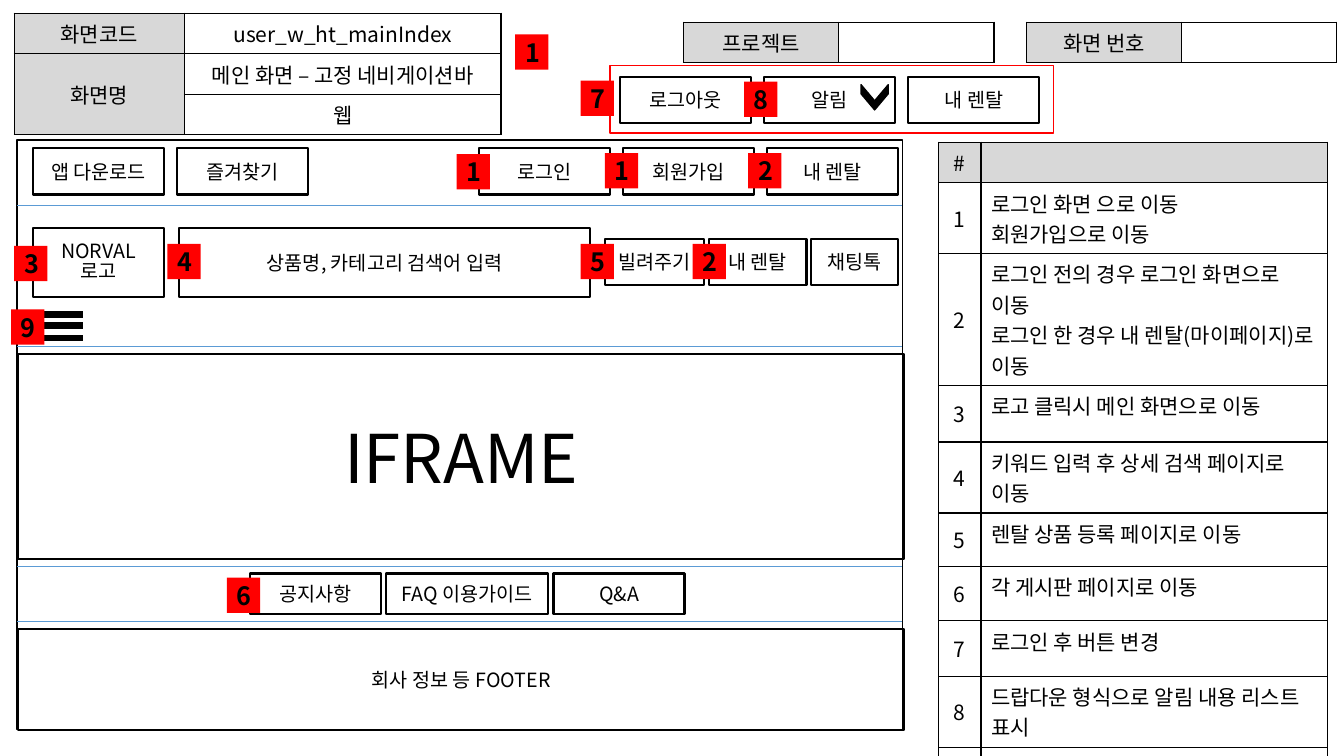
from dataclasses import dataclass

import lxml.etree
import pptx
import pptx.dml.color
import pptx.enum.shapes
import pptx.enum.text
import pptx.oxml.ns
import pptx.util

PX = 9144  # EMU per px, 100 px to the inch
FONT = "Noto Sans CJK KR"
COLORS = {
    "ink": "000000",
    "paper": "FFFFFF",
    "header": "D8D8D8",
    "badge": "FF0000",
    "divider": "5B9BD5",
}
SHAPES = pptx.enum.shapes.MSO_SHAPE
CENTER = pptx.enum.text.PP_ALIGN.CENTER
LEFT = pptx.enum.text.PP_ALIGN.LEFT
MIDDLE = pptx.enum.text.MSO_ANCHOR.MIDDLE
TOP = pptx.enum.text.MSO_ANCHOR.TOP


@dataclass
class Box:
    x: int
    y: int
    w: int
    h: int
    text: str = ""
    size: int = 14
    line: str = "ink"
    weight: float = 1.5
    spacing: float = 1.0


@dataclass
class Badge:
    x: int
    y: int
    number: str


@dataclass
class Rule:
    x1: int
    x2: int
    y: int
    color: str
    weight: float


@dataclass
class Grid:
    x: int
    y: int
    columns: list[int]
    rows: list[int]
    cells: list[list[str]]
    header_row: bool = False
    header_column: bool = False
    left_column: int = -1


def px(value: int) -> pptx.util.Emu:
    return pptx.util.Emu(value * PX)


def rgb(name: str) -> pptx.dml.color.RGBColor:
    return pptx.dml.color.RGBColor.from_string(COLORS[name])


def add_xml(parent, tag: str, **attributes: str):
    return lxml.etree.SubElement(parent, pptx.oxml.ns.qn(tag), attributes)


def format_text(frame, size: int, align=CENTER, bold: bool = False, spacing: float = 1.0) -> None:
    for paragraph in frame.paragraphs:
        paragraph.alignment = align
        if spacing != 1.0:
            paragraph.line_spacing = spacing
        if not paragraph.runs:
            add_xml(paragraph._p, "a:endParaRPr", sz=str(size * 100))
        for run in paragraph.runs:
            run.font.size = pptx.util.Pt(size)
            run.font.name = FONT
            run.font.bold = bold
            run.font.color.rgb = rgb("ink")
            add_xml(run.font._element, "a:ea", typeface=FONT)


def draw_box(slide, box: Box) -> None:
    frame = slide.shapes.add_shape(SHAPES.RECTANGLE, px(box.x), px(box.y), px(box.w), px(box.h))
    frame.shadow.inherit = False
    frame.fill.background()
    frame.line.color.rgb = rgb(box.line)
    frame.line.width = pptx.util.Pt(box.weight)
    if box.text:
        label = frame.text_frame
        label.margin_left = label.margin_right = label.margin_top = label.margin_bottom = 0
        label.vertical_anchor = MIDDLE
        label.text = box.text
        format_text(label, box.size, spacing=box.spacing)


def draw_badge(slide, badge: Badge) -> None:
    marker = slide.shapes.add_shape(SHAPES.RECTANGLE, px(badge.x), px(badge.y), px(33), px(35))
    marker.shadow.inherit = False
    marker.fill.solid()
    marker.fill.fore_color.rgb = rgb("badge")
    marker.line.fill.background()
    marker.text_frame.vertical_anchor = MIDDLE
    marker.text_frame.text = badge.number
    format_text(marker.text_frame, 18, bold=True)


def draw_rule(slide, rule: Rule) -> None:
    stroke = slide.shapes.add_connector(
        pptx.enum.shapes.MSO_CONNECTOR.STRAIGHT, px(rule.x1), px(rule.y), px(rule.x2), px(rule.y))
    stroke.line.color.rgb = rgb(rule.color)
    stroke.line.width = pptx.util.Pt(rule.weight)
    add_xml(stroke._element.spPr, "a:effectLst")


def draw_borders(cell) -> None:
    properties = cell._tc.get_or_add_tcPr()
    for position, side in enumerate(("a:lnL", "a:lnR", "a:lnT", "a:lnB")):
        border = add_xml(properties, side, w="12700")
        add_xml(add_xml(border, "a:solidFill"), "a:srgbClr", val=COLORS["ink"])
        properties.insert(position, border)


def draw_grid(slide, grid: Grid):
    table = slide.shapes.add_table(
        len(grid.rows), len(grid.columns), px(grid.x), px(grid.y),
        px(sum(grid.columns)), px(sum(grid.rows))).table
    table.first_row = table.horz_banding = False
    for column, width in zip(table.columns, grid.columns):
        column.width = px(width)
    for r, (height, texts) in enumerate(zip(grid.rows, grid.cells)):
        table.rows[r].height = px(height)
        for c, text in enumerate(texts):
            cell = table.cell(r, c)
            is_header = (grid.header_row and r == 0) or (grid.header_column and c == 0)
            is_left = c == grid.left_column
            cell.text_frame.text = text
            cell.vertical_anchor = TOP if is_left else MIDDLE
            format_text(cell.text_frame, 15, LEFT if is_left else CENTER)
            cell.fill.solid()
            cell.fill.fore_color.rgb = rgb("header" if is_header else "paper")
            draw_borders(cell)
    return table


SCREEN_INFO = Grid(14, 13, [169, 314], [40, 40, 40], [
    ["화면코드", "user_w_ht_mainIndex"],
    ["화면명", "메인 화면 – 고정 네비게이션바"],
    ["", "웹"],
], header_column=True)

TITLE_FIELDS = [
    Grid(x, 22, [154, 154], [40], [[label, ""]], header_column=True)
    for x, label in ((1018, "화면 번호"), (678, "프로젝트"))
]

NOTES = [
    "로그인 화면 으로 이동\n회원가입으로 이동",
    "로그인 전의 경우 로그인 화면으로 이동\n로그인 한 경우 내 렌탈(마이페이지)로 이동",
    "로고 클릭시 메인 화면으로 이동",
    "키워드 입력 후 상세 검색 페이지로 이동",
    "렌탈 상품 등록 페이지로 이동",
    "각 게시판 페이지로 이동",
    "로그인 후 버튼 변경",
    "드랍다운 형식으로 알림 내용 리스트 표시",
]
DESCRIPTION = Grid(
    931, 141, [42, 344], [40, 70, 131, 56, 70, 53, 54, 55, 70, 55],
    [["#", ""]] + [[str(n), note] for n, note in enumerate(NOTES, 1)] + [["", ""]],
    header_row=True, left_column=1)

# Equal buttons: start x, y, labels
BUTTON_STEP = 143
BUTTON_GROUPS = [
    (33, 147, ["앱 다운로드", "즐겨찾기"]),
    (475, 147, ["로그인", "회원가입", "내 렌탈"]),
    (615, 76, ["로그아웃", "알림", "내 렌탈"]),
]
BUTTONS = [Box(x + i * BUTTON_STEP, y, 130, 46, label)
           for x, y, labels in BUTTON_GROUPS for i, label in enumerate(labels)]

BOXES = [
    Box(17, 139, 878, 585, weight=1),
    *BUTTONS,
    Box(33, 226, 130, 69, "NORVAL\n로고", spacing=0.85),
    Box(178, 226, 407, 69, "상품명, 카테고리 검색어 입력"),
    Box(600, 237, 98, 46, "빌려주기"),
    Box(703, 237, 97, 46, "내 렌탈"),
    Box(804, 237, 87, 46, "채팅톡"),
    Box(18, 351, 879, 204, "IFRAME", size=48),
    Box(248, 569, 130, 40, "공지사항"),
    Box(383, 569, 161, 40, "FAQ 이용가이드"),
    Box(549, 569, 130, 40, "Q&A"),
    Box(18, 624, 879, 100, "회사 정보 등 FOOTER"),
    Box(605, 65, 440, 67, line="badge", weight=1),
]

RULES = [Rule(17, 895, y, "divider", 0.5) for y in (204, 344, 562, 616)]
RULES += [Rule(38, 82, y, "ink", 4.5) for y in (312, 323, 335)]

BADGES = [
    Badge(511, 34, "1"), Badge(453, 153, "1"), Badge(600, 152, "1"), Badge(742, 152, "2"),
    Badge(14, 244, "3"), Badge(166, 242, "4"), Badge(576, 242, "5"), Badge(687, 242, "2"),
    Badge(11, 307, "9"), Badge(225, 573, "6"), Badge(576, 80, "7"), Badge(738, 81, "8"),
]


def main() -> None:
    deck = pptx.Presentation()
    deck.slide_width, deck.slide_height = px(1333), px(750)
    slide = deck.slides.add_slide(deck.slide_layouts[6])

    # Tables
    info = draw_grid(slide, SCREEN_INFO)
    info.cell(1, 0).merge(info.cell(2, 0))
    for grid in (*TITLE_FIELDS, DESCRIPTION):
        draw_grid(slide, grid)

    # Wireframe
    for box in BOXES:
        draw_box(slide, box)
    for rule in RULES:
        draw_rule(slide, rule)
    for badge in BADGES:
        draw_badge(slide, badge)

    # Dropdown arrow of the alert button
    arrow = slide.shapes.add_shape(SHAPES.CHEVRON, px(855), px(83), px(25), px(27))
    arrow.shadow.inherit = False
    arrow.rotation = 90
    arrow.adjustments[0] = 0.64
    arrow.fill.solid()
    arrow.fill.fore_color.rgb = arrow.line.color.rgb = rgb("ink")
    arrow.line.width = pptx.util.Pt(1)

    deck.save("out.pptx")


if __name__ == "__main__":
    main()
